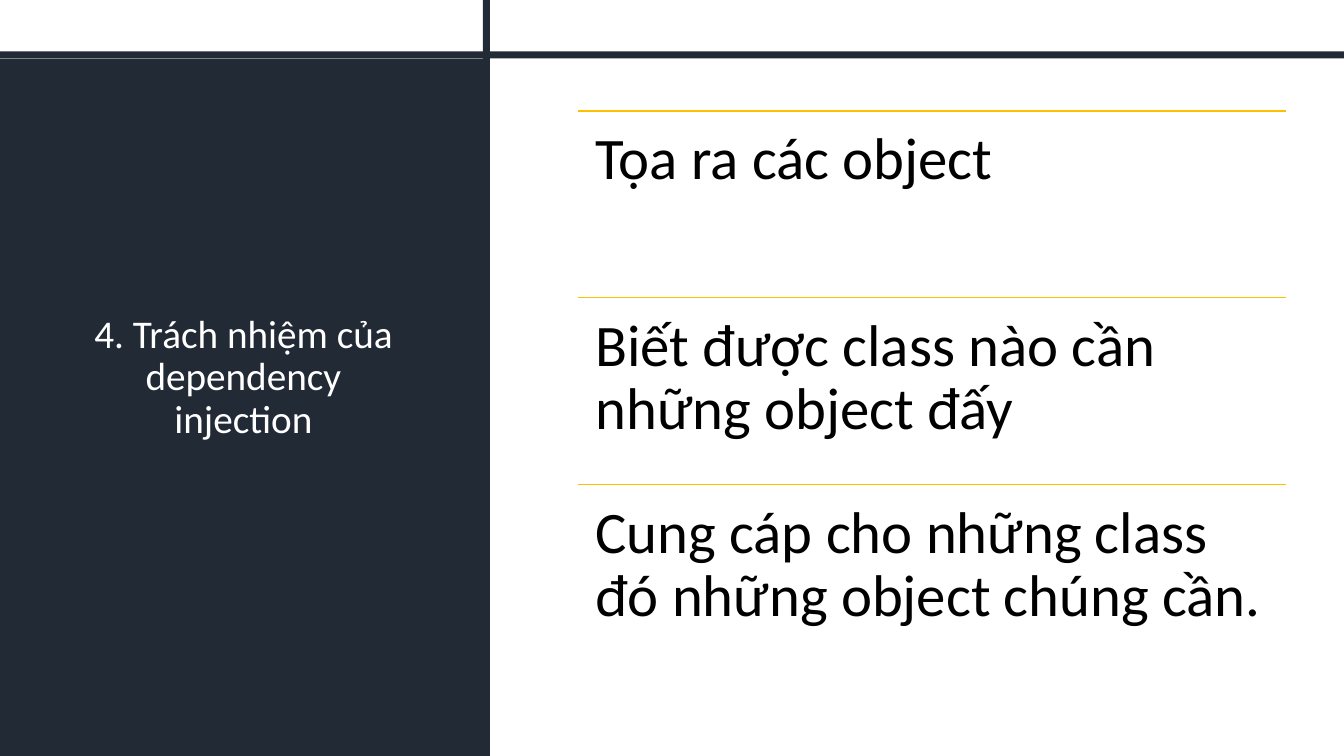
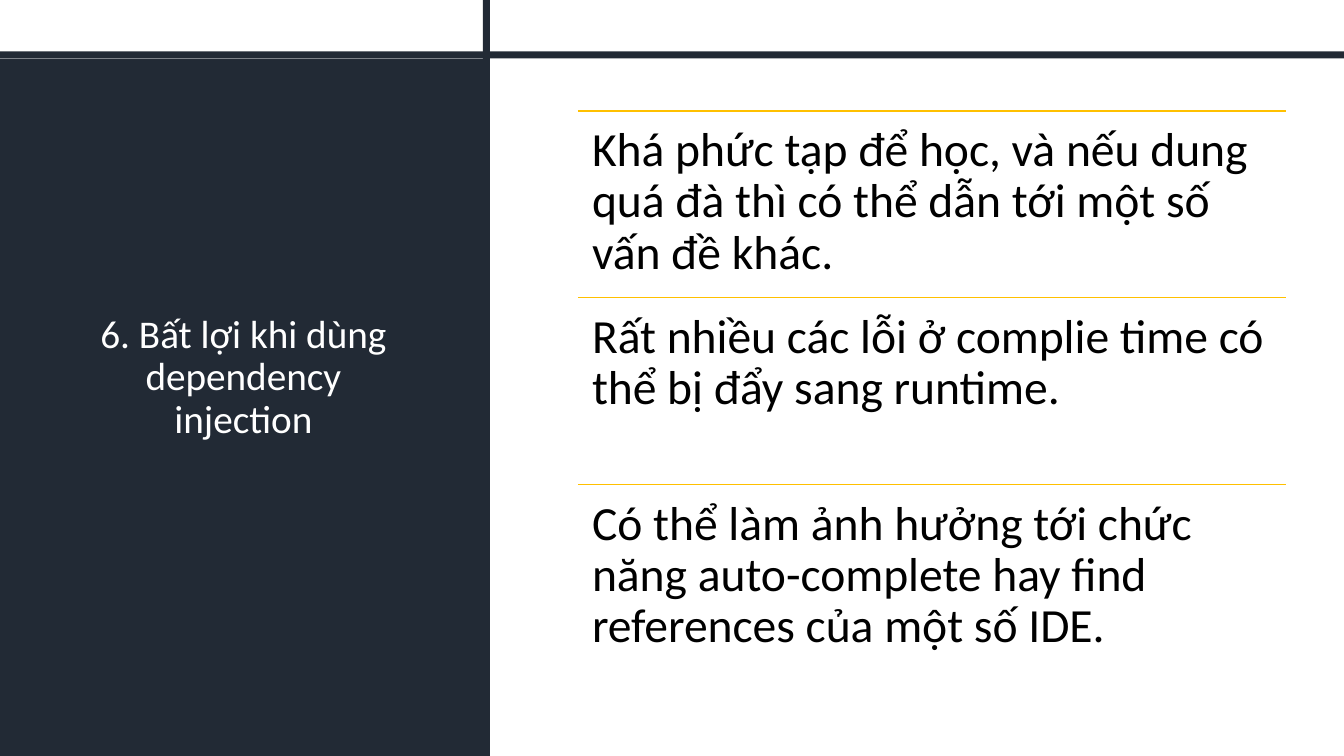
"""Builds two dependency injection slides with a dark title panel and three ruled statements."""
from pptx import Presentation
from pptx import util as u
from pptx.dml.color import RGBColor
from pptx.enum import shapes, text
from pptx.oxml.ns import qn
from lxml import etree

NAVY = RGBColor(0x22, 0x2A, 0x35)
GOLD = RGBColor(0xFF, 0xC0, 0x00)
WHITE = RGBColor(0xFF, 0xFF, 0xFF)
BLACK = RGBColor(0x00, 0x00, 0x00)
FONT = "Calibri"

WIDTH, HEIGHT = 960, 540
BAR = 5
PANEL_WIDTH, PANEL_TOP = 350, 41.8
ROW_LEFT, ROW_TOP, ROW_WIDTH, ROW_HEIGHT = 412.7, 79.2, 505.6, 133.5

BANDS = [
    (0, PANEL_TOP, PANEL_WIDTH, HEIGHT - PANEL_TOP),
    (PANEL_WIDTH - BAR, 0, BAR, HEIGHT),
    (0, PANEL_TOP - BAR, WIDTH, BAR),
]

SLIDES = [
    ("4. Trách nhiệm của dependency injection", 42, 12.6, [
        "Tọa ra các object",
        "Biết được class nào cần những object đấy",
        "Cung cáp cho những class đó những object chúng cần.",
    ]),
    ("6. Bất lợi khi dùng dependency injection", 34, 10.2, [
        "Khá phức tạp để học, và nếu dung quá đà thì có thể dẫn tới một số vấn đề khác.",
        "Rất nhiều các lỗi ở complie time có thể bị đẩy sang runtime.",
        "Có thể làm ảnh hưởng tới chức năng auto-complete hay find references của một số IDE.",
    ]),
]


def add_text(page, words, *, place, size, color, insets,
             align=text.PP_ALIGN.LEFT, anchor=text.MSO_ANCHOR.TOP):
    box = page.shapes.add_textbox(*map(u.Pt, place))
    frame = box.text_frame
    frame.word_wrap = True
    frame.vertical_anchor = anchor
    frame.margin_left = frame.margin_right = u.Pt(insets[0])
    frame.margin_top = frame.margin_bottom = u.Pt(insets[1])
    para = frame.paragraphs[0]
    para.alignment = align
    para.line_spacing = 0.9
    span = para.add_run()
    span.text = words
    span.font.name = FONT
    span.font.size = u.Pt(size)
    span.font.color.rgb = color


deck = Presentation()
deck.slide_width, deck.slide_height = u.Pt(WIDTH), u.Pt(HEIGHT)

for title, size, inset, statements in SLIDES:
    page = deck.slides.add_slide(deck.slide_layouts[6])
    for place in BANDS:
        band = page.shapes.add_shape(shapes.MSO_SHAPE.RECTANGLE, *map(u.Pt, place))
        band.shadow.inherit = False
        band.fill.solid()
        band.fill.fore_color.rgb = NAVY
        band.line.fill.background()

    add_text(page, title, place=(47.5, 60.5, 252.7, 419), size=28, color=WHITE,
             insets=(7.2, 3.6), align=text.PP_ALIGN.CENTER,
             anchor=text.MSO_ANCHOR.MIDDLE)

    for row, statement in enumerate(statements):
        top = ROW_TOP + row * ROW_HEIGHT
        rule = page.shapes.add_connector(
            shapes.MSO_CONNECTOR.STRAIGHT, u.Pt(ROW_LEFT), u.Pt(top),
            u.Pt(ROW_LEFT + ROW_WIDTH), u.Pt(top))
        rule.line.color.rgb = GOLD
        rule.line.width = u.Pt(1)
        etree.SubElement(rule._element.spPr, qn("a:effectLst"))
        add_text(page, statement, place=(ROW_LEFT, top, ROW_WIDTH, ROW_HEIGHT),
                 size=size, color=BLACK, insets=(inset, inset))

deck.save("out.pptx")
